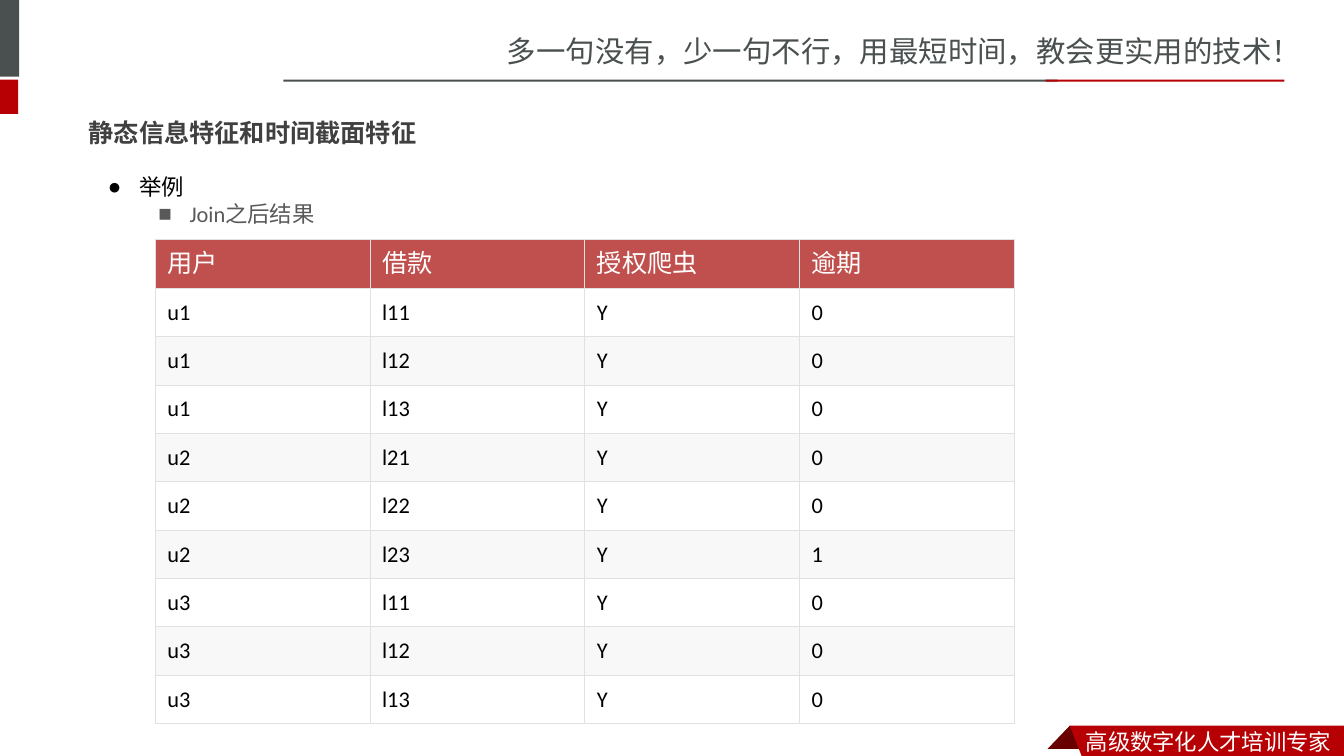
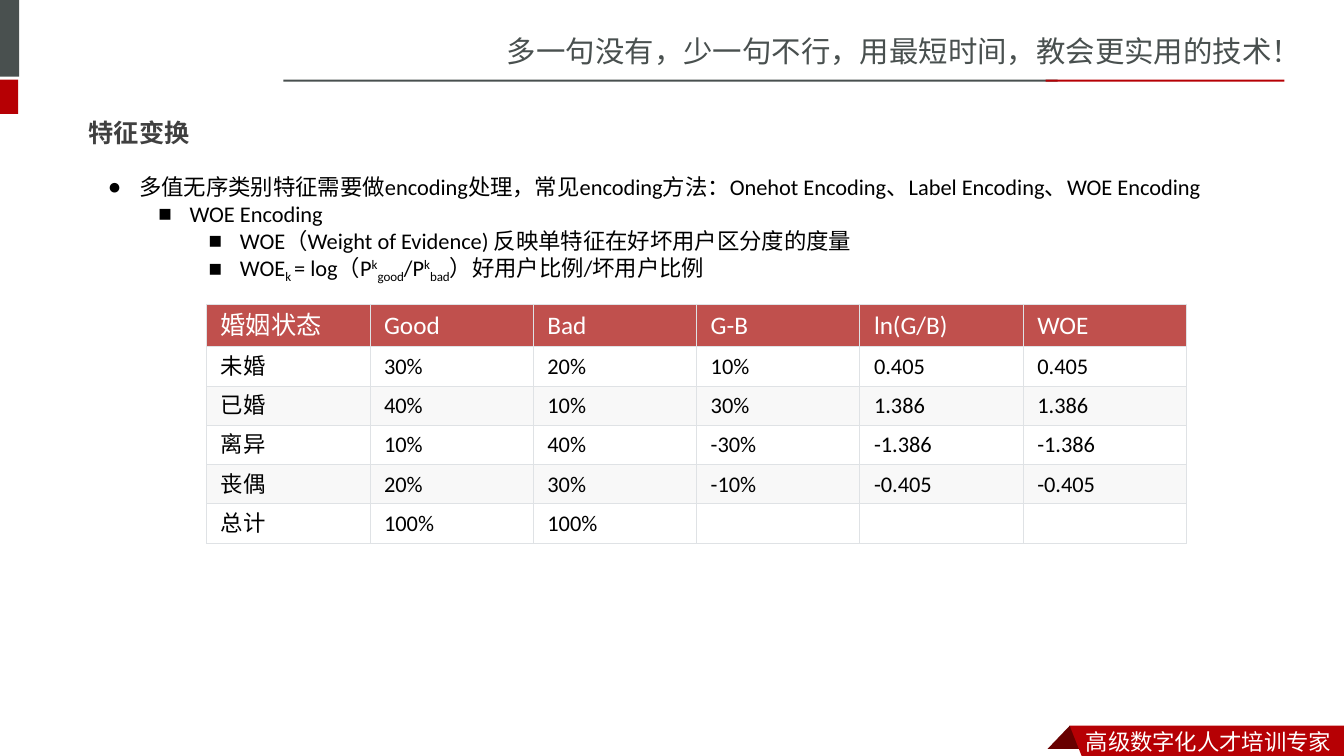
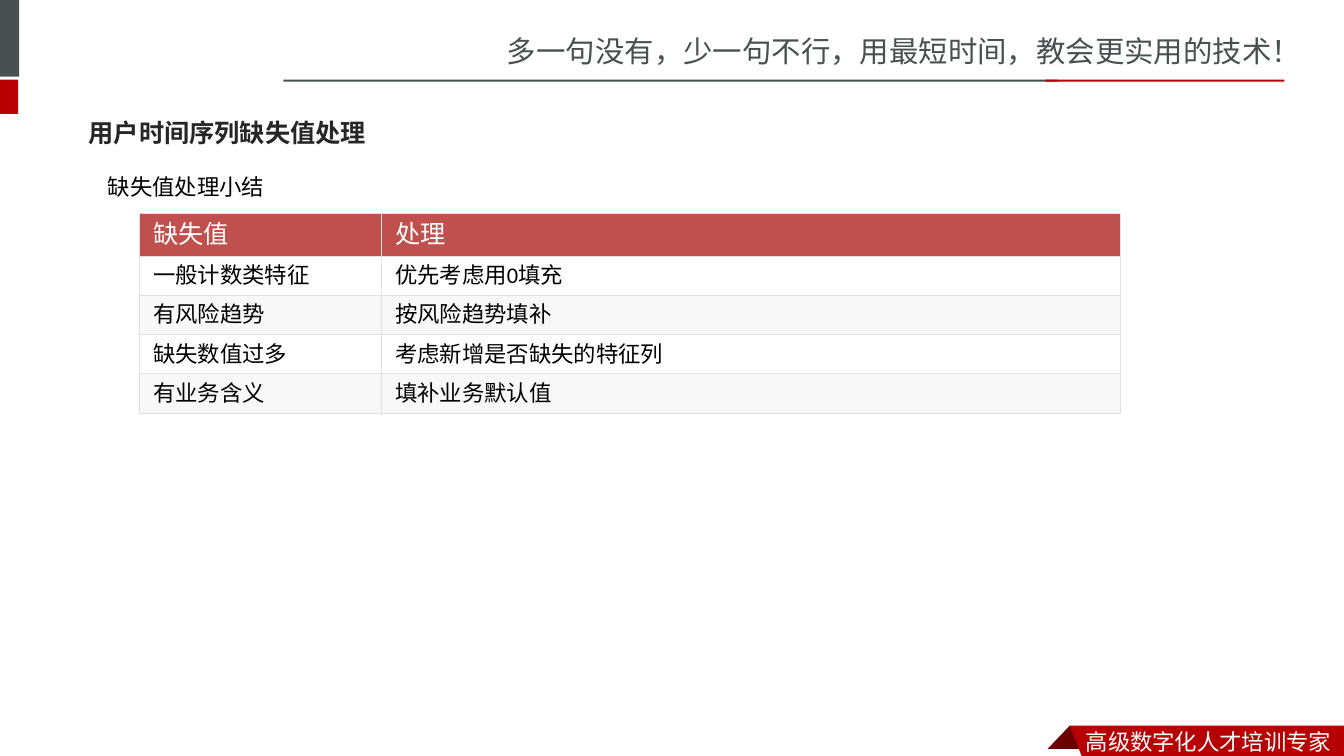
from dataclasses import dataclass

from lxml.etree import SubElement
from pptx import Presentation
from pptx.dml.color import RGBColor
from pptx.enum.shapes import MSO_SHAPE as Preset
from pptx.enum.text import MSO_ANCHOR as Anchor, MSO_AUTO_SIZE as AutoSize, PP_ALIGN as Align
from pptx.oxml.ns import qn
from pptx.util import Inches, Pt


@dataclass(frozen=True)
class Theme:
    slate: str = "49504F"
    red: str = "B60004"
    fold: str = "680000"
    white: str = "FFFFFF"
    black: str = "000000"
    title: str = "404040"
    dark_title: str = "262626"
    muted: str = "595959"
    header: str = "C0504D"
    band: str = "F8F8F8"
    grid: str = "DFE2E5"
    tagline_size: float = 21
    head_size: float = 18
    text_size: float = 16
    text_font: str = "Calibri"
    title_font: str = "Noto Sans CJK JP"
    brand_font: str = "Noto Sans CJK SC"


theme = Theme()

BULLET_STEP = 0.5
BULLET_HANG = 0.31
SUBSCRIPT, SUPERSCRIPT = -25000, 30000

# List lines: level, bullet, colour, runs of (text, baseline).
# Tables: left, top, column widths, header height, row height, side inset, rows.
PAGES = [
    {
        "title": "静态信息特征和时间截面特征",
        "title_color": theme.title,
        "list_size": (2.8, 0.64),
        "lines": [
            (0, "●", theme.black, [("举例", 0)]),
            (1, "■", theme.muted, [("Join之后结果", 0)]),
        ],
        "table": (1.54, 2.38, [2.13] * 4, 0.48, 0.48, 0.12, [
            ["用户", "借款", "授权爬虫", "逾期"],
            ["u1", "l11", "Y", "0"],
            ["u1", "l12", "Y", "0"],
            ["u1", "l13", "Y", "0"],
            ["u2", "l21", "Y", "0"],
            ["u2", "l22", "Y", "0"],
            ["u2", "l23", "Y", "1"],
            ["u3", "l11", "Y", "0"],
            ["u3", "l12", "Y", "0"],
            ["u3", "l13", "Y", "0"],
        ]),
    },
    {
        "title": "特征变换",
        "title_color": theme.title,
        "list_size": (12.19, 1.18),
        "lines": [
            (0, "●", theme.black, [
                ("多值无序类别特征需要做encoding处理，常见encoding方法："
                 "Onehot Encoding、Label Encoding、WOE Encoding", 0)]),
            (1, "■", theme.black, [("WOE Encoding", 0)]),
            (2, "■", theme.black, [
                ("WOE（Weight of Evidence) 反映单特征在好坏用户区分度的度量", 0)]),
            (2, "■", theme.black, [
                ("WOE", 0), ("k ", SUBSCRIPT), ("= log（P", 0),
                ("k", SUPERSCRIPT), ("good", SUBSCRIPT), ("/P", 0),
                ("k", SUPERSCRIPT), ("bad", SUBSCRIPT),
                ("）好用户比例/坏用户比例", 0)]),
        ],
        "table": (2.05, 3.02, [1.62] * 6, 0.42, 0.39, 0.14, [
            ["婚姻状态", "Good", "Bad", "G-B", "ln(G/B)", "WOE"],
            ["未婚", "30%", "20%", "10%", "0.405", "0.405"],
            ["已婚", "40%", "10%", "30%", "1.386", "1.386"],
            ["离异", "10%", "40%", "-30%", "-1.386", "-1.386"],
            ["丧偶", "20%", "30%", "-10%", "-0.405", "-0.405"],
            ["总计", "100%", "100%", "", "", ""],
        ]),
    },
    {
        "title": "用户时间序列缺失值处理",
        "title_color": theme.dark_title,
        "list_size": (1.77, 0.91),
        "lines": [(0, None, theme.black, [("缺失值处理小结", 0)])],
        "table": (1.38, 2.12, [2.4, 7.33], 0.42, 0.39, 0.14, [
            ["缺失值", "处理"],
            ["一般计数类特征", "优先考虑用0填充"],
            ["有风险趋势", "按风险趋势填补"],
            ["缺失数值过多", "考虑新增是否缺失的特征列"],
            ["有业务含义", "填补业务默认值"],
        ]),
    },
]


def add_span(para, text, size, color, font=theme.text_font, bold=False, baseline=0):
    """Add one run, using the font for Latin and East Asian letters alike."""
    span = para.add_run()
    span.text = text
    span.font.size = Pt(size)
    span.font.bold = bold
    span.font.name = font
    span.font.color.rgb = RGBColor.from_string(color)
    properties = span._r.get_or_add_rPr()
    SubElement(properties, qn("a:ea")).set("typeface", font)
    if baseline:
        properties.set("baseline", str(baseline))


def paint(shape, color):
    shape.shadow.inherit = False
    shape.fill.solid()
    shape.fill.fore_color.rgb = RGBColor.from_string(color)
    shape.line.fill.background()


deck = Presentation()
deck.slide_width, deck.slide_height = Inches(13.33), Inches(7.5)

# Layout: place the title once and drop the unused footer fields
layout = deck.slide_layouts[1]
for holder in list(layout.placeholders):
    if holder.placeholder_format.idx > 1:
        holder.element.getparent().remove(holder.element)
title_area = layout.placeholders[0]
title_area.left, title_area.top = Inches(0.78), Inches(1.03)
title_area.width, title_area.height = Inches(11.76), Inches(0.57)

slides = [deck.slides.add_slide(layout) for _ in PAGES]

# Shared frame: drawn once, then moved into the layout
shapes = slides[0].shapes
frame = []
for left, top, width, height, color in [
    (-0.06, 0, 0.25, 0.76, theme.slate),
    (-0.06, 0.79, 0.24, 0.34, theme.red),
    (2.81, 0.79, 7.68, 0.02, theme.slate),
    (10.37, 0.79, 2.37, 0.02, theme.red),
]:
    bar = shapes.add_shape(Preset.RECTANGLE, Inches(left), Inches(top),
                           Inches(width), Inches(height))
    paint(bar, color)
    frame.append(bar)

for color, corners in [
    (theme.fold, [(10.61, 7.2), (10.83, 7.43), (10.39, 7.43)]),
    (theme.red, [(10.61, 7.2), (13.33, 7.2), (13.33, 7.54), (10.74, 7.53)]),
]:
    points = [(Inches(x), Inches(y)) for x, y in corners]
    builder = shapes.build_freeform(*points[0])
    builder.add_line_segments(points[1:], close=True)
    ribbon = builder.convert_to_shape()
    paint(ribbon, color)
    frame.append(ribbon)

for left, top, width, height, text, size, color in [
    (4.93, 0.28, 8.41, 0.45, "多一句没有，少一句不行，用最短时间，教会更实用的技术！",
     theme.tagline_size, theme.slate),
    (10.67, 7.17, 2.66, 0.37, "高级数字化人才培训专家", theme.text_size, theme.white),
]:
    box = shapes.add_textbox(Inches(left), Inches(top), Inches(width), Inches(height))
    box.text_frame.word_wrap = True
    add_span(box.text_frame.paragraphs[0], text, size, color, theme.brand_font)
    frame.append(box)

for shape in frame:
    layout.shapes.element.append(shape.element)

for slide, page in zip(slides, PAGES):
    # Title
    title = slide.shapes.title.text_frame
    title.auto_size = AutoSize.NONE
    title.vertical_anchor = Anchor.MIDDLE
    para = title.paragraphs[0]
    para.alignment = Align.LEFT
    add_span(para, page["title"], theme.head_size, page["title_color"],
             theme.title_font, bold=True)

    # List
    body = slide.placeholders[1]
    body.left, body.top = Inches(0.97), Inches(1.67)
    body.width, body.height = [Inches(length) for length in page["list_size"]]
    text_frame = body.text_frame
    text_frame.word_wrap = False
    text_frame.auto_size = AutoSize.SHAPE_TO_FIT_TEXT
    for index, (level, bullet, color, spans) in enumerate(page["lines"]):
        para = text_frame.add_paragraph() if index else text_frame.paragraphs[0]
        para.level = level
        para.space_before = Pt(0)
        hang = BULLET_HANG if bullet else 0
        properties = para._p.get_or_add_pPr()
        properties.set("marL", str(Inches(level * BULLET_STEP + hang)))
        properties.set("indent", str(Inches(-hang)))
        if bullet:
            SubElement(properties, qn("a:buChar")).set("char", bullet)
        else:
            SubElement(properties, qn("a:buNone"))
        for text, baseline in spans:
            add_span(para, text, theme.text_size, color, baseline=baseline)

    # Table
    left, top, widths, header_height, row_height, inset, rows = page["table"]
    height = header_height + row_height * (len(rows) - 1)
    table = slide.shapes.add_table(len(rows), len(widths), Inches(left), Inches(top),
                                   Inches(sum(widths)), Inches(height)).table
    table.horz_banding = False
    for column, width in zip(table.columns, widths):
        column.width = Inches(width)
    for row_index, values in enumerate(rows):
        is_header = row_index == 0
        table.rows[row_index].height = Inches(header_height if is_header else row_height)
        size = theme.head_size if is_header else theme.text_size
        color = theme.white if is_header else theme.black
        fill = theme.header if is_header else (theme.white, theme.band)[(row_index + 1) % 2]
        for column_index, value in enumerate(values):
            cell = table.cell(row_index, column_index)
            cell.vertical_anchor = Anchor.MIDDLE
            cell.margin_left = cell.margin_right = Inches(inset)
            cell.margin_top = cell.margin_bottom = Inches(0.06)
            properties = cell._tc.get_or_add_tcPr()
            for side in ("a:lnL", "a:lnR", "a:lnT", "a:lnB"):
                border = SubElement(properties, qn(side), w=str(Pt(0.75)))
                paper = SubElement(border, qn("a:solidFill"))
                SubElement(paper, qn("a:srgbClr"), val=theme.grid)
            cell.fill.solid()
            cell.fill.fore_color.rgb = RGBColor.from_string(fill)
            para = cell.text_frame.paragraphs[0]
            if value:
                add_span(para, value, size, color)
            else:
                SubElement(para._p, qn("a:endParaRPr"), sz=str(size * 100))

deck.save("out.pptx")
